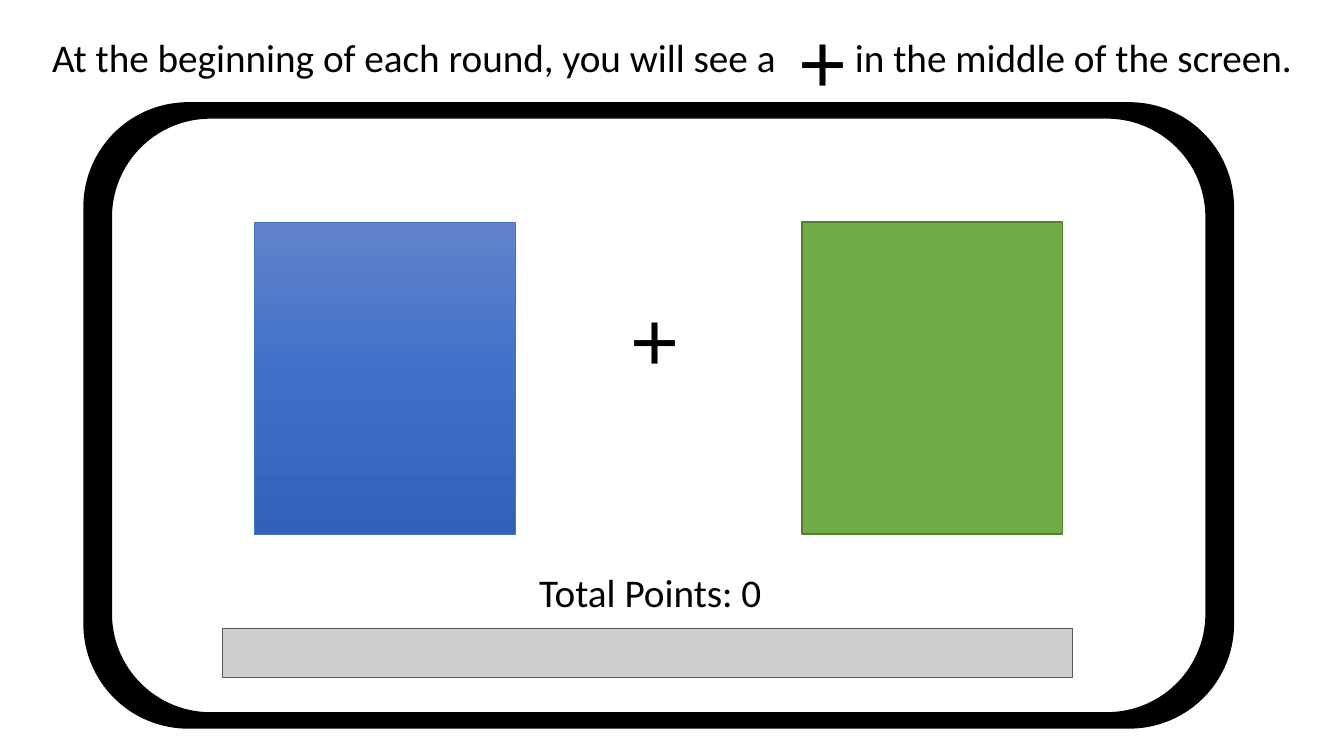
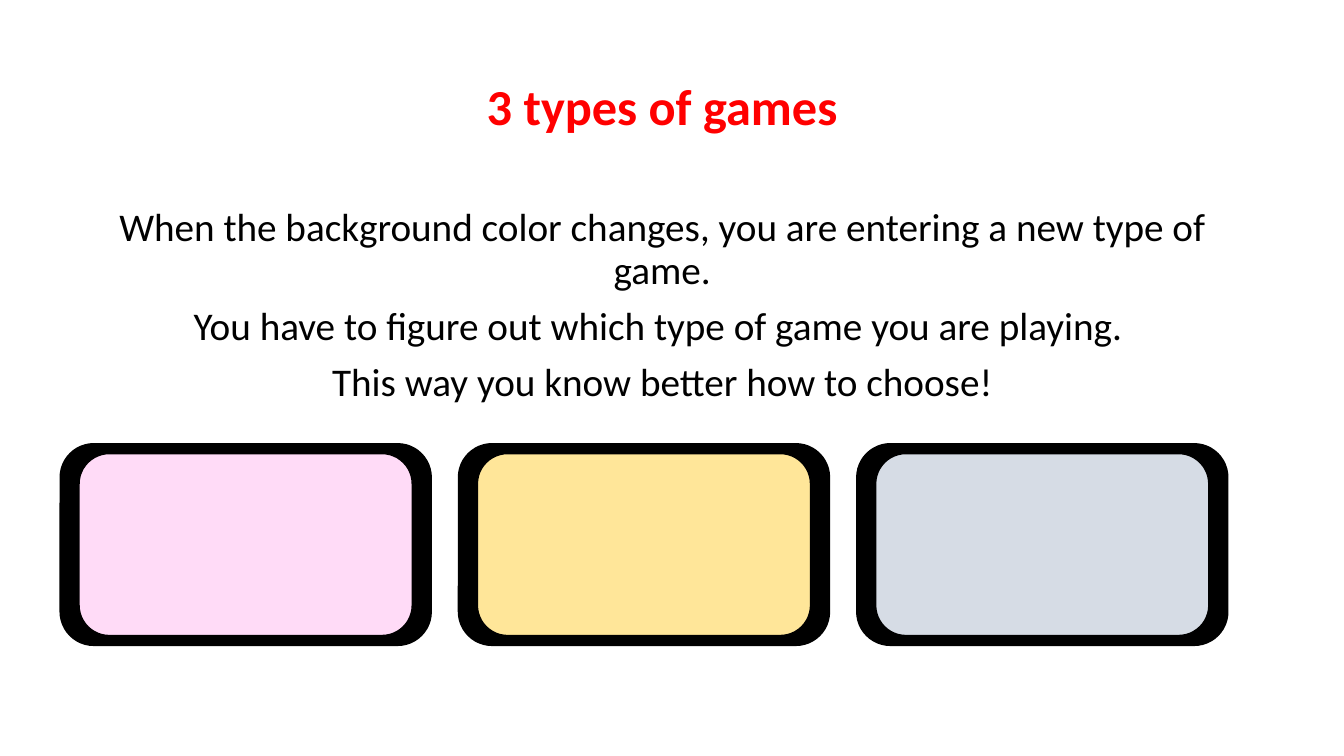
from dataclasses import dataclass

from lxml.etree import SubElement
from pptx import Presentation
from pptx.dml.color import RGBColor as RGB
from pptx.enum.shapes import MSO_SHAPE as SHAPE
from pptx.enum.text import MSO_ANCHOR as ANCHOR, MSO_AUTO_SIZE as FIT, PP_ALIGN as ALIGN
from pptx.oxml.ns import qn
from pptx.util import Pt


@dataclass(frozen=True)
class Theme:
    """Colours, fonts and type sizes."""
    black: str = "000000"
    white: str = "FFFFFF"
    red: str = "FF0000"
    blues: tuple = ("6183CB", "3E70CA", "3062BB")
    blue_line: str = "4472C4"
    green: str = "70AD47"
    green_line: str = "538035"
    gray: str = "D0CECE"
    gray_line: str = "595959"
    games: tuple = ("FFDBF7", "FFE699", "D6DCE5")
    font: str = "Calibri"
    symbol_font: str = "Arial"
    body: int = 28
    heading: int = 36
    symbol: int = 60


T = Theme()


class Deck:
    """Draws styled elements on the current slide."""

    def __init__(self, width, height):
        """Start an empty presentation."""
        self.prs = Presentation()
        self.prs.slide_width, self.prs.slide_height = Pt(width), Pt(height)

    def new_slide(self):
        """Add a title-only slide and make it current."""
        self.slide = self.prs.slides.add_slide(self.prs.slide_layouts[5])

    def fill_text(self, sp, lines, align=ALIGN.LEFT, color=T.black, spacing=1, before=0, **font):
        """Fill a text shape with uniformly formatted paragraphs."""
        tf = sp.text_frame
        for name, value in dict(word_wrap=True, auto_size=FIT.NONE,
                                vertical_anchor=ANCHOR.TOP).items():
            setattr(tf, name, value)
        style = dict(name=T.font, size=Pt(T.body), bold=False) | font
        for i, line in enumerate(lines):
            p = tf.add_paragraph() if i else tf.paragraphs[0]
            p.alignment, p.line_spacing = align, spacing
            p.space_before = Pt(before if i else 0)
            r = p.add_run()
            r.text = line
            r.font.color.rgb = RGB.from_string(color)
            for name, value in style.items():
                setattr(r.font, name, value)

    def title(self, box, text, tab=None, **style):
        """Place the title, with an optional tab stop."""
        sp = self.slide.shapes.title
        sp.left, sp.top, sp.width, sp.height = map(Pt, box)
        self.fill_text(sp, [text], **style)
        if tab:
            pPr = sp.text_frame.paragraphs[0]._p.get_or_add_pPr()
            tabs = SubElement(pPr, qn("a:tabLst"))
            SubElement(tabs, qn("a:tab"), pos=str(Pt(tab)), algn="l")

    def text(self, box, *lines, **style):
        """Add a text box."""
        self.fill_text(self.slide.shapes.add_textbox(*map(Pt, box)), lines, **style)

    def plus(self, left, top):
        """Add a fixation cross."""
        self.text((left, top, 53, 80), "+", name=T.symbol_font, size=Pt(T.symbol))

    def shape(self, box, fill, line=T.black, weight=1, kind=SHAPE.RECTANGLE):
        """Add a shape filled with one colour or a downward gradient."""
        sp = self.slide.shapes.add_shape(kind, *map(Pt, box))
        sp.shadow.inherit = False
        sp.line.color.rgb, sp.line.width = RGB.from_string(line), Pt(weight)
        if isinstance(fill, str):
            sp.fill.solid()
            sp.fill.fore_color.rgb = RGB.from_string(fill)
            return
        sp.fill.gradient()
        sp.fill.gradient_angle = 270
        stops = next(sp._element.iter(qn("a:gsLst")))
        for stop in list(stops):
            stops.remove(stop)
        for i, color in enumerate(fill):
            stop = SubElement(stops, qn("a:gs"), pos=str(100000 * i // (len(fill) - 1)))
            SubElement(stop, qn("a:srgbClr"), val=color)

    def screen(self, box, dx, dy, fill):
        """Add a black rounded frame around a coloured screen."""
        x, y, w, h = box
        inner = (x + dx, y + dy, w - 2 * dx, h - 2 * dy)
        for area, color in ((box, T.black), (inner, fill)):
            self.shape(area, color, kind=SHAPE.ROUNDED_RECTANGLE)


def round_start(deck):
    """Show the screen at the beginning of a round."""
    deck.new_slide()
    deck.title((30, 20, 912, 41), "At the beginning of each round, you will see a"
               "\tin the middle of the screen.", tab=573.5)
    deck.plus(563, 3)
    deck.screen((60, 73.5, 821, 446.5), 19.5, 10.8, T.white)
    deck.shape((182, 158.5, 186, 223), T.blues, T.blue_line, 0.5)
    deck.shape((573, 158.5, 186, 223), T.green, T.green_line)
    deck.plus(443.5, 201.5)
    deck.shape((159, 448.5, 607, 35), T.gray, T.gray_line, 0.5)
    deck.text((378, 402.5, 186, 41), "Total Points: 0")


def game_types(deck):
    """Present the three background colours."""
    deck.new_slide()
    deck.title((43, 54.7, 860, 47), "3 types of games", align=ALIGN.CENTER,
               color=T.red, spacing=0.9, size=Pt(T.heading), bold=True)
    deck.text((43, 145, 860, 160),
              "When the background color changes, you are entering a new type of game.",
              "You have to figure out which type of game you are playing. ",
              "This way you know better how to choose!",
              align=ALIGN.CENTER, spacing=0.9, before=10)
    for i, color in enumerate(T.games):
        deck.screen((43 + 284.5 * i, 317, 265, 144), 13.5, 7, color)


deck = Deck(960, 540)
round_start(deck)
game_types(deck)
deck.prs.save("out.pptx")
